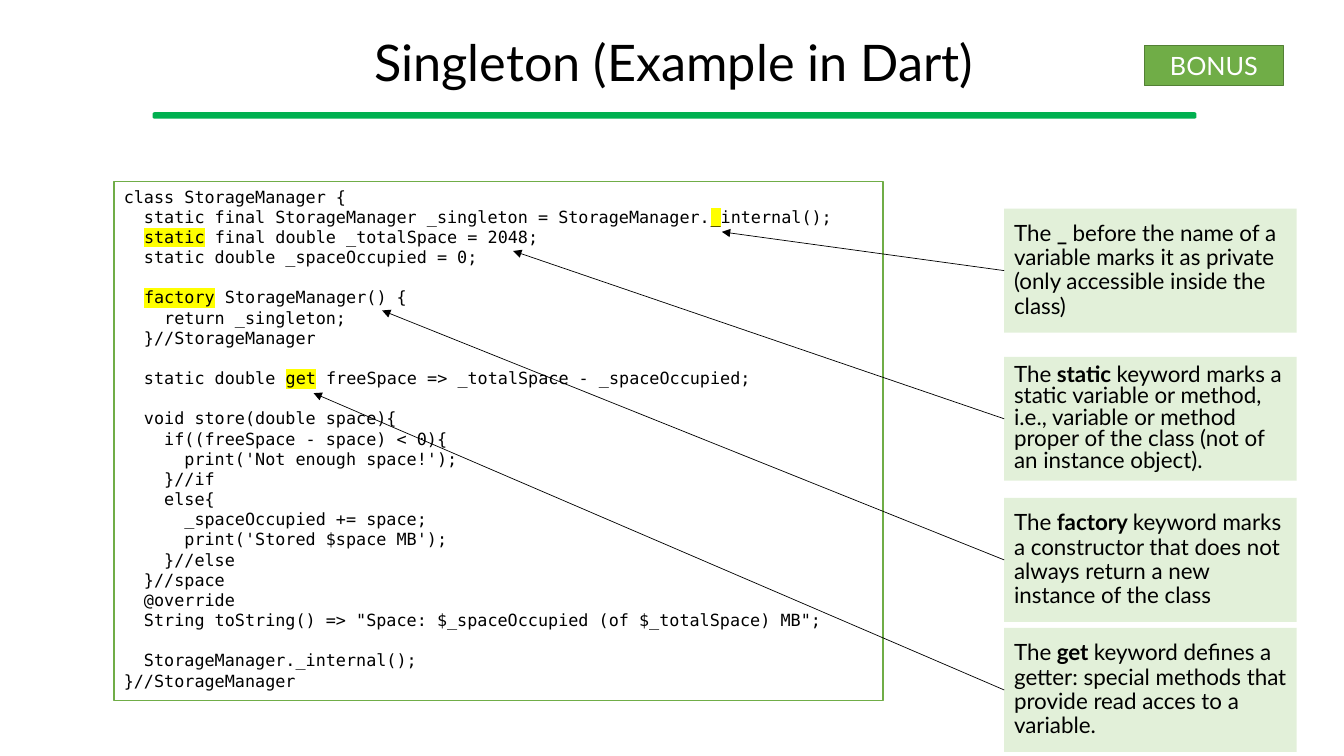
from dataclasses import dataclass

from lxml import etree
from pptx import Presentation
from pptx.dml.color import RGBColor
from pptx.enum.shapes import MSO_CONNECTOR, MSO_SHAPE
from pptx.enum.text import MSO_ANCHOR, PP_ALIGN
from pptx.oxml.ns import qn
from pptx.util import Inches, Pt

RECT = MSO_SHAPE.RECTANGLE
ROUND = MSO_SHAPE.ROUNDED_RECTANGLE
STRAIGHT = MSO_CONNECTOR.STRAIGHT
TOP, MIDDLE = MSO_ANCHOR.TOP, MSO_ANCHOR.MIDDLE
LEFT, CENTER = PP_ALIGN.LEFT, PP_ALIGN.CENTER


@dataclass(frozen=True)
class Theme:
    sans: str = "Lato"
    mono: str = "DejaVu Sans Mono"
    ink: str = "000000"
    paper: str = "FFFFFF"
    rule: str = "00B050"
    green: str = "70AD47"
    edge: str = "538035"
    note: str = "E2F0D9"
    mark: str = "FFFF00"
    title_size: int = 36
    badge_size: int = 18
    note_size: int = 16
    code_size: int = 12
    code_gap: float = 14.4


# Text between backticks is emphasised.
CODE = """class StorageManager {
  static final StorageManager _singleton = StorageManager.`_`internal();
  `static` final double _totalSpace = 2048;
  static double _spaceOccupied = 0;

  `factory` StorageManager() {
    return _singleton;
  }//StorageManager

  static double `get` freeSpace => _totalSpace - _spaceOccupied;

  void store(double space){
    if((freeSpace - space) < 0){
      print('Not enough space!');
    }//if
    else{
      _spaceOccupied += space;
      print('Stored $space MB');
    }//else
  }//space
  @override
  String toString() => "Space: $_spaceOccupied (of $_totalSpace) MB";

  StorageManager._internal();
}//StorageManager"""

# Top of the note, line spacing, arrow tip, text
NOTES = [
    (2.07, 0.9, (7.16, 2.3), "The` _ `before the name of a variable marks it "
     "as private (only accessible inside the class)"),
    (3.54, 0.8, (5.09, 2.49), "The` static `keyword marks a static variable or "
     "method, i.e., variable or method proper of the class (not of an instance object)."),
    (4.94, 0.9, (3.79, 3.08), "The` factory `keyword marks a constructor that "
     "does not always return a new instance of the class"),
    (6.23, 0.9, (3.11, 3.9), "The` get `keyword defines a getter: special "
     "methods that provide read acces to a variable."),
]
NOTE_X, NOTE_W, NOTE_H = 9.96, 2.9, 1.23


class Board:
    def __init__(self, slide, theme):
        self.shapes = slide.shapes
        self.theme = theme

    def box(self, area, fill, line=None, kind=RECT):
        shape = self.shapes.add_shape(kind, *map(Inches, area))
        shape.shadow.inherit = False
        shape.fill.solid()
        shape.fill.fore_color.rgb = RGBColor.from_string(fill)
        if line:
            shape.line.color.rgb = RGBColor.from_string(line)
            shape.line.width = Pt(1)
        else:
            shape.line.fill.background()
        return shape

    def label(self, shape, text, size, anchor=MIDDLE, align=LEFT,
              color=None, face=None, space=None, accent=None):
        """Fill a shape with lines; blank lines become space before the next."""
        frame = shape.text_frame
        frame.word_wrap = True
        frame.vertical_anchor = anchor
        para, gap = frame.paragraphs[0], 0
        for num, line in enumerate(text.split("\n")):
            if not line:
                gap += self.theme.code_gap
                continue
            if num:
                para = frame.add_paragraph()
            para.alignment = align
            if gap:
                para.space_before = Pt(gap)
                gap = 0
            if space:
                para.line_spacing = space
            font = para.font
            font.name = face or self.theme.sans
            font.size = Pt(size)
            font.color.rgb = RGBColor.from_string(color or self.theme.ink)
            for part, words in enumerate(line.split("`")):
                if words:
                    run = para.add_run()
                    run.text = words
                    if part % 2:
                        accent(run)

    def bold(self, run):
        run.font.bold = True

    def mark(self, run):
        light = etree.SubElement(run._r.get_or_add_rPr(), qn("a:highlight"))
        etree.SubElement(light, qn("a:srgbClr"), val=self.theme.mark)

    def title(self, area, text):
        shape = self.shapes.add_textbox(*map(Inches, area))
        self.label(shape, text, self.theme.title_size, align=CENTER, space=0.9)

    def rule(self, area):
        bar = self.box(area, self.theme.rule, self.theme.rule, ROUND)
        bar.adjustments[0] = 0.26

    def badge(self, area, text):
        shape = self.box(area, self.theme.green, self.theme.edge)
        self.label(shape, text, self.theme.badge_size, align=CENTER,
                   color=self.theme.paper)

    def code(self, area, text):
        shape = self.box(area, self.theme.paper, self.theme.green)
        self.label(shape, text, self.theme.code_size, anchor=TOP,
                   face=self.theme.mono, accent=self.mark)

    def note(self, area, text, space):
        shape = self.box(area, self.theme.note)
        self.label(shape, text, self.theme.note_size, space=space,
                   accent=self.bold)

    def arrow(self, start, tip):
        link = self.shapes.add_connector(STRAIGHT, *map(Inches, start + tip))
        link.line.color.rgb = RGBColor.from_string(self.theme.ink)
        link.line.width = Pt(0.5)
        etree.SubElement(link.line._get_or_add_ln(), qn("a:tailEnd"),
                         type="triangle")
        etree.SubElement(link._element.spPr, qn("a:effectLst"))


def main():
    deck = Presentation()
    deck.slide_width, deck.slide_height = Inches(13.33), Inches(7.5)
    board = Board(deck.slides.add_slide(deck.slide_layouts[6]), Theme())
    board.rule((1.52, 1.12, 10.34, 0.05))
    board.title((0.47, 0.18, 12.43, 0.94), "Singleton (Example in Dart)")
    board.code((1.13, 1.8, 7.63, 5.15), CODE)
    for top, space, tip, text in NOTES:
        board.note((NOTE_X, top, NOTE_W, NOTE_H), text, space)
        board.arrow((NOTE_X, top + NOTE_H / 2), tip)
    board.badge((11.35, 0.45, 1.38, 0.4), "BONUS")
    deck.save("out.pptx")


if __name__ == "__main__":
    main()
